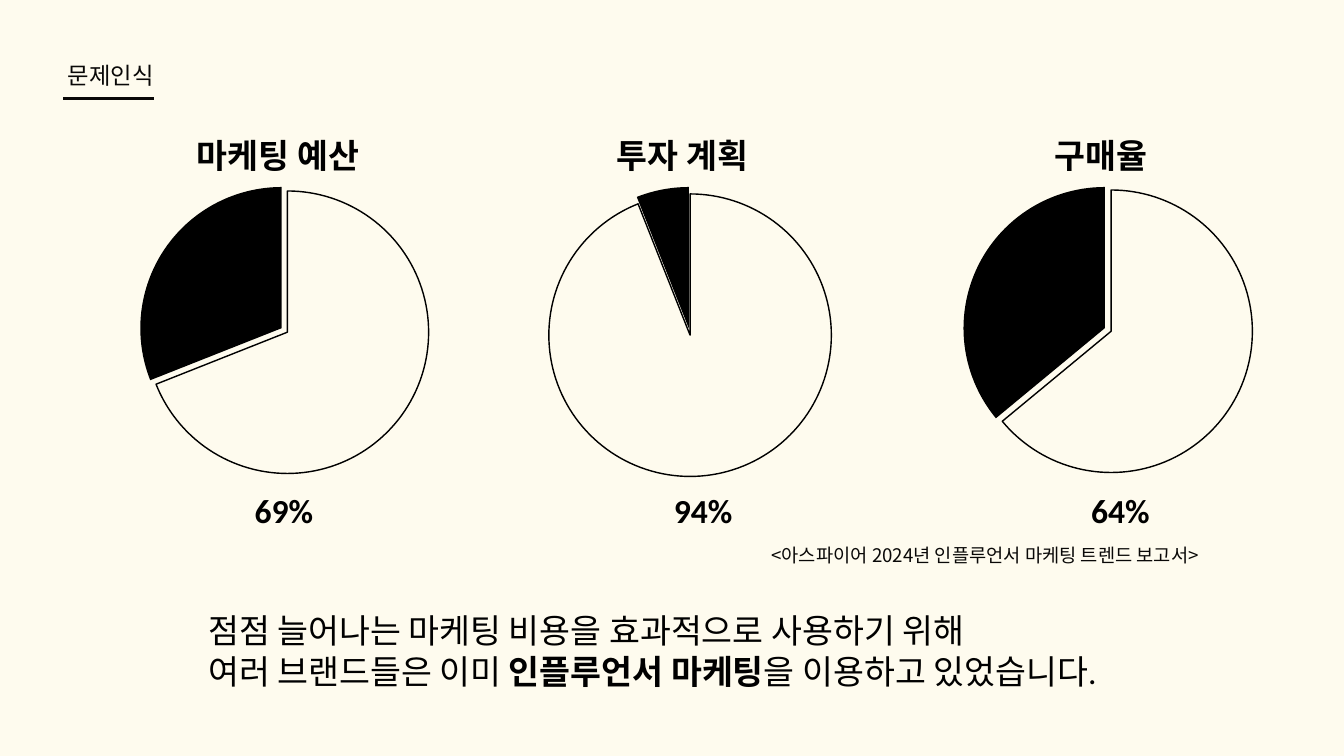
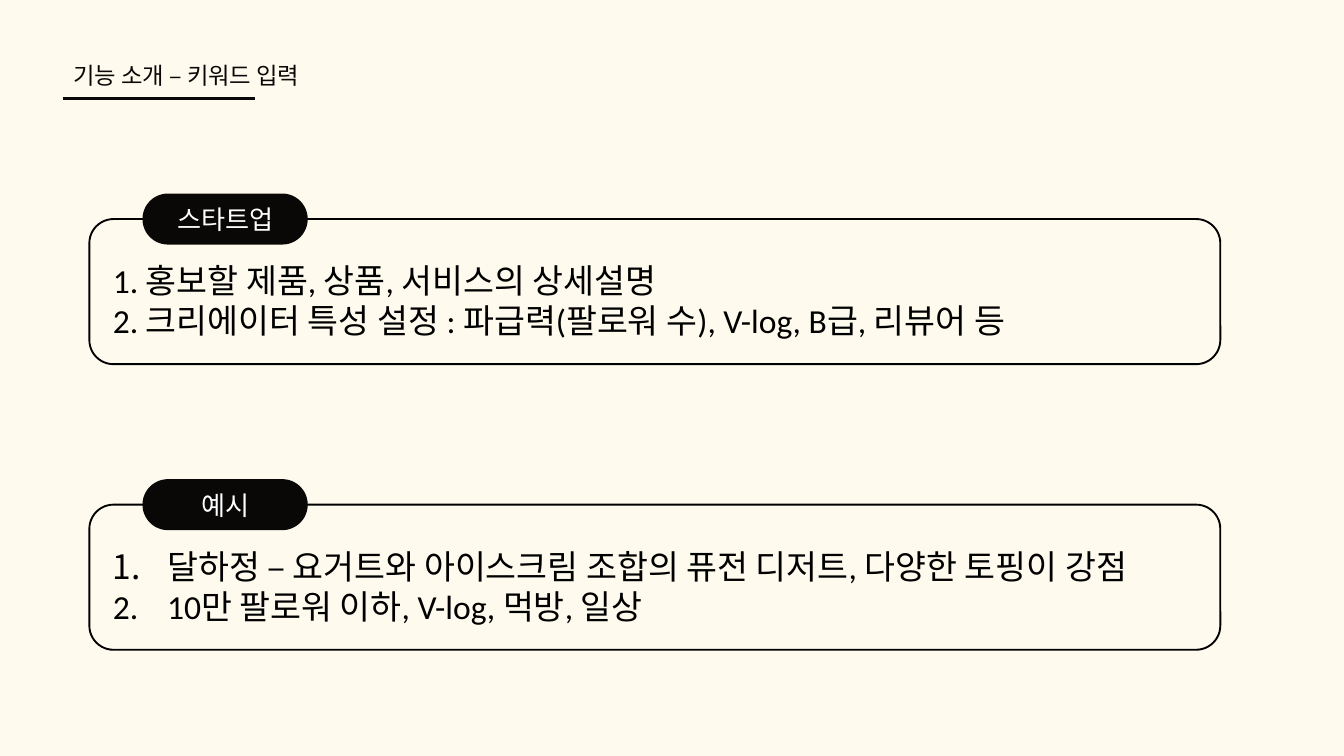
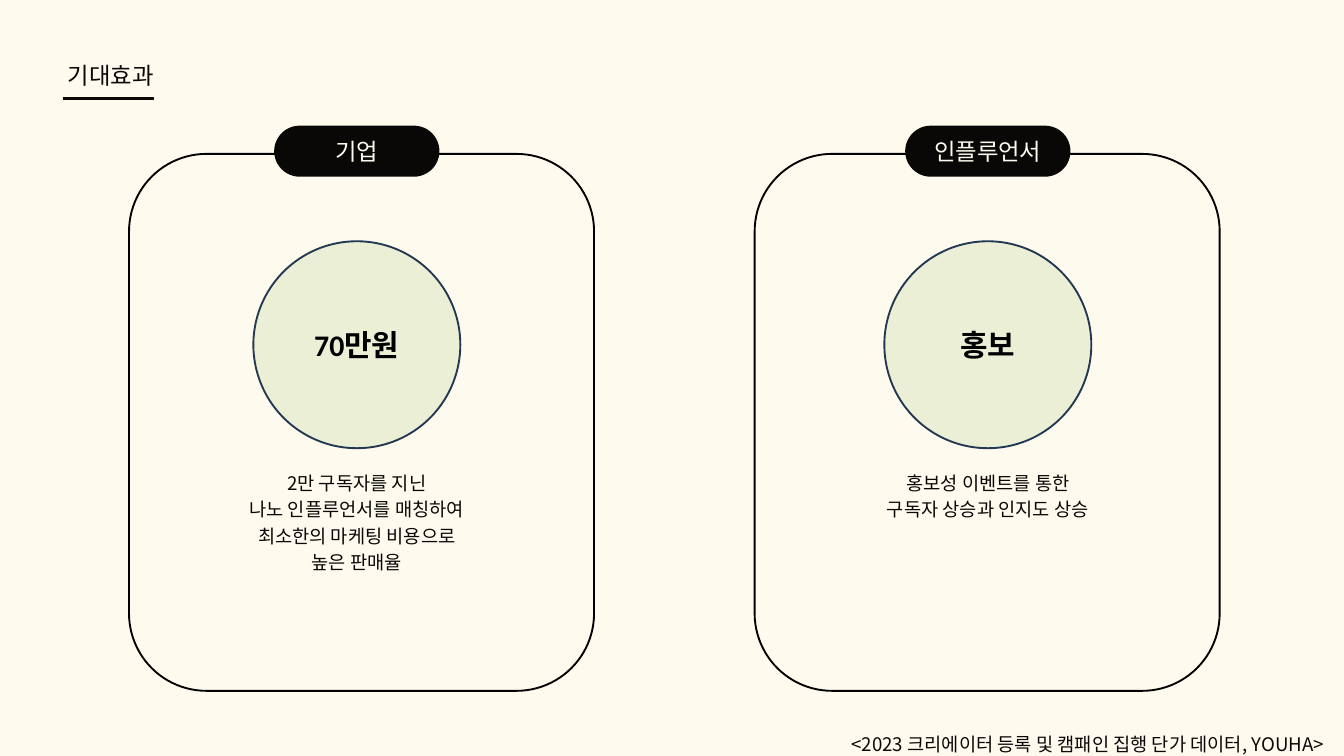
import pptx
import pptx.chart.data
import pptx.dml.color
import pptx.enum.chart
import pptx.enum.shapes
import pptx.enum.text
import pptx.oxml
import pptx.oxml.ns
import pptx.util

Inches = pptx.util.Inches
Pt = pptx.util.Pt
RGBColor = pptx.dml.color.RGBColor
Shape = pptx.enum.shapes.MSO_SHAPE
Anchor = pptx.enum.text.MSO_ANCHOR
Align = pptx.enum.text.PP_ALIGN
qn = pptx.oxml.ns.qn

CREAM = RGBColor(0xFE, 0xFB, 0xEE)
INK = RGBColor(0x09, 0x08, 0x07)
BLACK = RGBColor(0, 0, 0)
WHITE = RGBColor(0xFF, 0xFF, 0xFF)
GREEN = RGBColor(0xD7, 0xE4, 0xBD)
NAVY = RGBColor(0x23, 0x39, 0x53)

NOTO = "Noto Sans CJK SC"
HEADING = {"name": NOTO, "size": Pt(25), "color": INK}
CAPTION = {"name": NOTO, "size": Pt(20), "color": INK}
BODY = {"name": "Calibri", "size": Pt(36), "color": BLACK}
STRONG = {**BODY, "bold": True}
CIRCLE_TEXT = {**STRONG, "size": Pt(32)}
PILL_TEXT = {"name": "Calibri", "size": Pt(28), "color": WHITE}
CARD_PILL_TEXT = {**HEADING, "color": CREAM}

PILL_WIDTH, PILL_HEIGHT = 2.46, 0.76


def set_font(font, style):
    for attribute, value in style.items():
        if attribute == "color":
            font.color.rgb = value
        else:
            setattr(font, attribute, value)


def write(frame, lines, style, align=None, leading=None):
    """Fill a frame; a line is a string or a list of (text, extra style) runs."""
    for index, line in enumerate(lines):
        paragraph = frame.paragraphs[0] if index == 0 else frame.add_paragraph()
        paragraph.alignment = align
        paragraph.line_spacing = leading
        for text, extra in [(line, {})] if isinstance(line, str) else line:
            run = paragraph.add_run()
            run.text = text
            set_font(run.font, {**style, **extra})


def add_text(slide, box, lines, style, wrap=True, align=None):
    frame = slide.shapes.add_textbox(*map(Inches, box)).text_frame
    frame.word_wrap = wrap
    write(frame, lines, style, align)
    return frame


def add_tight_text(slide, box, lines, style, leading, align=None):
    """Text box without insets and with exact line spacing."""
    frame = slide.shapes.add_textbox(*map(Inches, box)).text_frame
    frame.word_wrap = True
    for side in ("left", "top", "right", "bottom"):
        setattr(frame, f"margin_{side}", 0)
    write(frame, lines, style, align, Pt(leading))


def add_outline(slide, kind, box, fill=None, line=None):
    shape = slide.shapes.add_shape(kind, *map(Inches, box))
    shape.shadow.inherit = False
    if fill is None:
        shape.fill.background()
    else:
        shape.fill.solid()
        shape.fill.fore_color.rgb = fill
    if line is None:
        shape.line.fill.background()
    else:
        shape.line.color.rgb = line
        shape.line.width = Pt(2)
    shape.text_frame.vertical_anchor = Anchor.MIDDLE
    return shape


def add_pill(slide, left, top, label, style):
    pill = add_outline(slide, Shape.ROUNDED_RECTANGLE,
                       (left, top, PILL_WIDTH, PILL_HEIGHT), fill=INK)
    pill.adjustments[0] = 0.5
    write(pill.text_frame, [label], style, Align.CENTER)


def add_header(slide, title, left=1.01, width=2.41, rule_width=1.35):
    add_tight_text(slide, (left, 0.84, width, 0.46), [title], HEADING, 35)
    rule = slide.shapes.add_connector(
        pptx.enum.shapes.MSO_CONNECTOR.STRAIGHT,
        Inches(0.94), Inches(1.47), Inches(0.94 + rule_width), Inches(1.47))
    rule.line.color.rgb = INK
    rule.line.width = Pt(3)
    rule._element.spPr.append(pptx.oxml.parse_xml(
        '<a:effectLst xmlns:a="http://schemas.openxmlformats.org/drawingml/2006/main"/>'))


def add_share_pie(slide, left, share, title, title_left, title_width, share_left):
    add_text(slide, (title_left, 1.96, title_width, 0.58), [title], STRONG, wrap=False)

    data = pptx.chart.data.CategoryChartData()
    data.categories = ["1", "2"]
    data.add_series("Series 1", (share, 100 - share))
    chart = slide.shapes.add_chart(
        pptx.enum.chart.XL_CHART_TYPE.PIE,
        *map(Inches, (left, 2.54, 7.04, 4.69)), data).chart
    chart.has_title = False
    chart.has_legend = False
    set_font(chart.font, {"name": "Calibri", "size": Pt(10), "color": BLACK})
    plot = chart.plots[0]
    plot.vary_by_categories = True
    points = plot.series[0].points

    counted = points[0].format
    counted.fill.background()
    counted.line.color.rgb = BLACK
    counted.line.width = Pt(1.5)
    rest = points[1].format
    rest.fill.solid()
    rest.fill.fore_color.rgb = BLACK
    rest.line.fill.background()

    slice_properties = plot.series[0]._element.find(qn("c:dPt")).find(qn("c:spPr"))
    slice_properties.addprevious(pptx.oxml.parse_xml(
        '<c:explosion xmlns:c="http://schemas.openxmlformats.org/drawingml/2006/chart"'
        ' val="5"/>'))

    add_text(slide, (share_left, 7.24, 1.3, 0.7), [f"{share}%"], STRONG, wrap=False)


def add_input_panel(slide, top, label, lines, numbered=False):
    left = 1.33
    add_outline(slide, Shape.ROUNDED_RECTANGLE, (left, top, 16.83, 2.16), line=BLACK)
    add_pill(slide, left + 0.79, top - PILL_HEIGHT / 2, label, PILL_TEXT)
    frame = add_text(slide, (left + 0.25, top + 0.56, 16.4, 1.31), lines, BODY)
    if numbered:
        for paragraph in frame.paragraphs:
            properties = paragraph._p.get_or_add_pPr()
            properties.set("marL", str(Inches(0.81)))
            properties.set("indent", str(-Inches(0.81)))
            properties.append(pptx.oxml.parse_xml(
                '<a:buAutoNum xmlns:a="http://schemas.openxmlformats.org/drawingml/2006/main"'
                ' type="arabicPeriod"/>'))


def add_effect_card(slide, left, axis, label, headline, lines):
    """Card at left whose contents are centred on axis."""
    top, diameter, text_width = 2.29, 3.08, 3.39
    add_outline(slide, Shape.ROUNDED_RECTANGLE, (left, top, 6.92, 7.99), line=BLACK)
    add_pill(slide, axis - PILL_WIDTH / 2, top - 0.42, label, CARD_PILL_TEXT)
    circle = add_outline(slide, Shape.OVAL,
                         (axis - diameter / 2, top + 1.3, diameter, diameter),
                         fill=GREEN, line=NAVY)
    color = circle._element.spPr.find(qn("a:solidFill")).find(qn("a:srgbClr"))
    color.append(pptx.oxml.parse_xml(
        '<a:alpha xmlns:a="http://schemas.openxmlformats.org/drawingml/2006/main"'
        ' val="50000"/>'))
    write(circle.text_frame, [headline], CIRCLE_TEXT, Align.CENTER)
    add_tight_text(slide, (axis - text_width / 2, top + 4.68, text_width, 0.39 * len(lines)),
                   lines, CAPTION, 28, Align.CENTER)


def build_problem(slide):
    add_header(slide, "문제인식")
    add_share_pie(slide, 0.67, 69, "마케팅 예산", 2.83, 3, 3.69)
    add_share_pie(slide, 6.73, 94, "투자 계획", 9.08, 2.17, 9.93)
    add_share_pie(slide, 12.92, 64, "구매율", 15.59, 1.75, 16.14)
    add_tight_text(slide, (11.48, 8.04, 6.7, 0.37),
                   ["<아스파이어 2024년 인플루언서 마케팅 트렌드 보고서>"], CAPTION, 28)
    add_text(slide, (3, 9.03, 14.5, 1.35), [
        "점점 늘어나는 마케팅 비용을 효과적으로 사용하기 위해",
        [("여러 브랜드들은 이미 ", {}), ("인플루언서 마케팅", {"bold": True}),
         ("을 이용하고 있었습니다.", {})],
    ], BODY, wrap=False)


def build_keywords(slide):
    add_header(slide, "기능 소개 – 키워드 입력", left=1.09, width=3.5, rule_width=2.85)
    add_input_panel(slide, 3.26, "스타트업", [
        "1. 홍보할 제품, 상품, 서비스의 상세설명",
        "2. 크리에이터 특성 설정 : 파급력(팔로워 수), V-log, B급, 리뷰어 등",
    ])
    add_input_panel(slide, 7.51, "예시", [
        "달하정 – 요거트와 아이스크림 조합의 퓨전 디저트, 다양한 토핑이 강점",
        "10만 팔로워 이하, V-log, 먹방, 일상",
    ], numbered=True)


def build_effects(slide):
    add_header(slide, "기대효과")
    add_effect_card(slide, 1.92, 5.31, "기업", "70만원", [
        "2만 구독자를 지닌",
        "나노 인플루언서를 매칭하여",
        "최소한의 마케팅 비용으로",
        "높은 판매율",
    ])
    add_effect_card(slide, 11.23, 14.7, "인플루언서", "홍보", [
        "홍보성 이벤트를 통한",
        "구독자 상승과 인지도 상승",
    ])
    add_tight_text(slide, (12.67, 10.85, 7.33, 0.37),
                   ["<2023 크리에이터 등록 및 캠패인 집행 단가 데이터, YOUHA>"], CAPTION, 28)


def main():
    deck = pptx.Presentation()
    deck.slide_width = Inches(20)
    deck.slide_height = Inches(11.25)
    background = deck.slide_master.background.fill
    background.solid()
    background.fore_color.rgb = CREAM
    for build in (build_problem, build_keywords, build_effects):
        build(deck.slides.add_slide(deck.slide_layouts[6]))
    deck.save("out.pptx")


if __name__ == "__main__":
    main()
